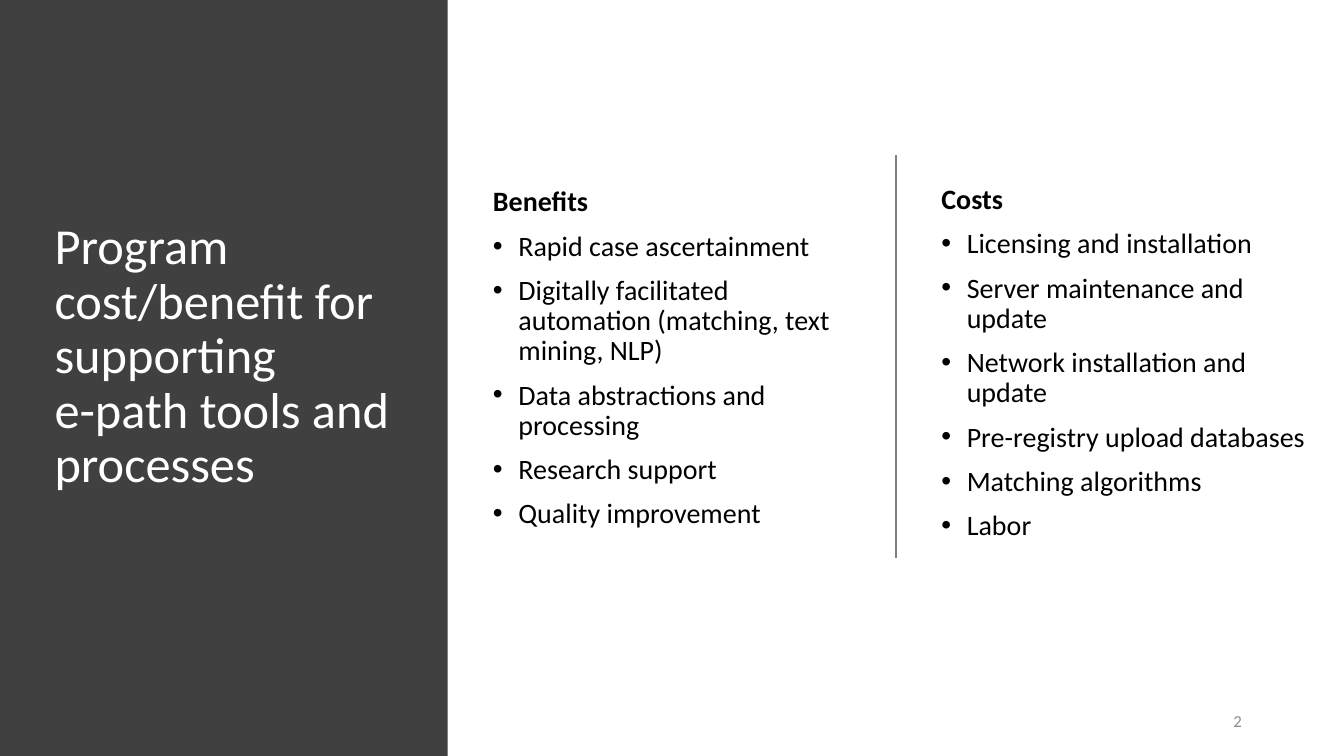
"""Build the slide that weighs the benefits and costs of e-path tools."""
from lxml.etree import SubElement
from pptx import Presentation
from pptx.dml.color import RGBColor
from pptx.enum.shapes import MSO_CONNECTOR as Link, MSO_SHAPE as Shape
from pptx.enum.text import MSO_ANCHOR as Anchor, MSO_AUTO_SIZE as Fit, PP_ALIGN as Align
from pptx.oxml.ns import qn
from pptx.util import Cm, Pt


def paint(part, code):
    part.rgb = RGBColor.from_string(code)


def style(para, size, code, bold=False):
    para.font.name = "Calibri"
    para.font.size = Pt(size)
    para.font.bold = bold
    paint(para.font.color, code)


deck = Presentation()
deck.slide_width, deck.slide_height = Cm(33.87), Cm(19.05)
slide = deck.slides.add_slide(deck.slide_layouts[3])
shapes = slide.shapes
title, left, right = slide.placeholders

panel = shapes.add_shape(Shape.RECTANGLE, 0, 0, Cm(11.28), deck.slide_height)
panel.shadow.inherit = False
panel.fill.solid()
paint(panel.fill.fore_color, "404040")
panel.line.fill.background()
shapes._spTree.insert(2, panel._element)

title.left, title.top, title.width, title.height = Cm(1.12), Cm(5.51), Cm(9.04), Cm(6.99)
title.text_frame.text = "Program cost/benefit for supporting\ve-path tools and processes"
title.text_frame.auto_size = Fit.NONE
title.text_frame.vertical_anchor = Anchor.MIDDLE
head = title.text_frame.paragraphs[0]
head.alignment = Align.LEFT
head.line_spacing = 0.9
style(head, 36, "FFFFFF")

gains = ["Benefits", "Rapid case ascertainment",
         "Digitally facilitated automation (matching, text mining, NLP)",
         "Data abstractions and processing", "Research support", "Quality improvement"]
costs = ["Costs", "Licensing and installation", "Server maintenance and update",
         "Network installation and update", "Pre-registry upload databases",
         "Matching algorithms", "Labor"]
lists = [(left, 12.17, 3.48, 9.53, 1.25, gains),
         (right, 23.47, 3.45, 9.73, 1.22, costs)]
for body, x, y, width, inset, lines in lists:
    body.left, body.top, body.width, body.height = Cm(x), Cm(y), Cm(width), Cm(12.12)
    frame = body.text_frame
    frame.text = "\n".join(lines)
    frame.auto_size = Fit.NONE
    frame.vertical_anchor = Anchor.TOP
    frame.margin_top = Cm(inset)
    for i, para in enumerate(frame.paragraphs):
        para.line_spacing = 0.9
        para.space_before = Pt(10)
        style(para, 20, "000000", bold=i == 0)
        props = para._p.get_or_add_pPr()
        dent = Cm(0.64) if i else 0
        props.set("marL", str(dent))
        props.set("indent", str(-dent))
        if i:
            SubElement(props, qn("a:buFont"), typeface="Arial")
            SubElement(props, qn("a:buChar"), char="•")
        else:
            SubElement(props, qn("a:buNone"))

rule = shapes.add_connector(Link.STRAIGHT, Cm(22.58), Cm(3.91), Cm(22.58), Cm(14.07))
rule.line.width = Pt(1)
paint(rule.line.color, "808080")
SubElement(rule._element.spPr, qn("a:effectLst"))

page = shapes.add_textbox(Cm(23.93), Cm(17.65), Cm(7.62), Cm(1.02))
page.text_frame.word_wrap = True
page.text_frame.vertical_anchor = Anchor.MIDDLE
para = page.text_frame.paragraphs[0]
para.text = "2"
para.alignment = Align.RIGHT
style(para, 12, "8C8C8C")

deck.save("out.pptx")
